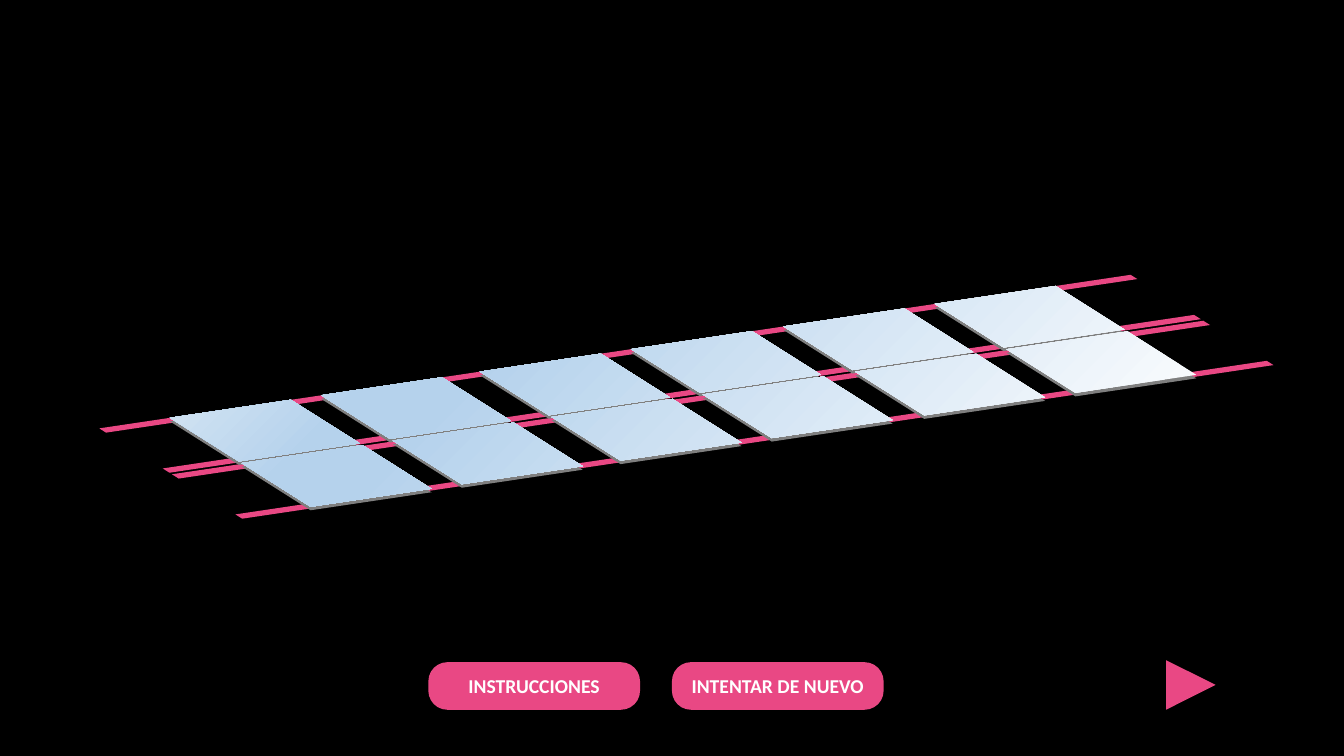
from lxml.etree import SubElement
from pptx import Presentation
from pptx.dml.color import RGBColor
from pptx.enum.shapes import MSO_SHAPE as Shape
from pptx.enum.text import MSO_ANCHOR as Anchor, PP_ALIGN as Align
from pptx.oxml.ns import qn
from pptx.util import Pt

PINK, GREY, WHITE, BLACK = "E94884", "7F7F7F", "FFFFFF", "000000"
SHEEN = [(11, "F7FAFD"), (69, "B5D2EC"), (76, "B5D2EC"), (89, "CEE1F2")]
SHEEN_ANGLE = 225

BUTTONS = [("INSTRUCCIONES", 306), ("INTENTAR DE NUEVO", 480)]
BUTTON_TOP, BUTTON_W, BUTTON_H = 473, 151.2, 34
ARROW = (833, 471.6, 35.3, 35.3)

# Flat plan of the track, in points, before it is tilted
COLS = [136, 256, 382, 502, 623, 743]
ROWS = [168, 284.5]
PANEL = (96, 112)
RAILS = [168, 271, 286, 389]
RAIL_LEFT, RAIL = 80, (818.5, 11)

# Where 100 points across and 100 points down the plan lead on the slide
ACROSS, DOWN = (90, -13.4), (44, 27.8)
ORIGIN = (-75, 270)
THICK = 2.5


def color(text):
    return RGBColor.from_string(text)


def paint(shape, fill):
    shape.shadow.inherit = False
    shape.fill.solid()
    shape.fill.fore_color.rgb = color(fill)
    shape.line.fill.background()


def tilt(x, y, drop):
    """Map a plan point to slide units."""
    left = ORIGIN[0] + (x * ACROSS[0] + y * DOWN[0]) / 100
    top = ORIGIN[1] + (x * ACROSS[1] + y * DOWN[1]) / 100 + drop
    return Pt(left), Pt(top)


def add_tiles(shapes, spots, size, fill, drop=0):
    """Draw equal tilted rectangles as one shape."""
    wide, deep = size
    outline = None
    for x, y in spots:
        first, *rest = [tilt(a, b, drop) for a, b in (
            (x, y), (x + wide, y), (x + wide, y + deep), (x, y + deep))]
        if outline is None:
            outline = shapes.build_freeform(*first)
        else:
            outline.move_to(*first)
        outline.add_line_segments(rest, close=True)
    tiles = outline.convert_to_shape()
    paint(tiles, fill)
    return tiles


def add_sheen(shape):
    """Replace the stops of a gradient fill with the sheen colours."""
    shape.fill.gradient()
    grad = shape.fill._xPr.find(qn("a:gradFill"))
    for child in list(grad):
        grad.remove(child)
    stops = SubElement(grad, qn("a:gsLst"))
    for share, tone in SHEEN:
        stop = SubElement(stops, qn("a:gs"), pos=str(share * 1000))
        SubElement(stop, qn("a:srgbClr"), val=tone)
    SubElement(grad, qn("a:lin"), ang=str(SHEEN_ANGLE * 60000), scaled="0")


def add_button(shapes, label, left):
    button = shapes.add_shape(Shape.ROUNDED_RECTANGLE, Pt(left),
                              Pt(BUTTON_TOP), Pt(BUTTON_W), Pt(BUTTON_H))
    button.adjustments[0] = 0.4
    paint(button, PINK)
    frame = button.text_frame
    frame.vertical_anchor = Anchor.MIDDLE
    para = frame.paragraphs[0]
    para.alignment = Align.CENTER
    run = para.add_run()
    run.text = label
    font = run.font
    font.name, font.size, font.bold = "Calibri", Pt(14), True
    font.color.rgb = color(WHITE)


def main():
    deck = Presentation()
    deck.slide_width, deck.slide_height = Pt(960), Pt(540)
    slide = deck.slides.add_slide(deck.slide_layouts[6])
    back = slide.background.fill
    back.solid()
    back.fore_color.rgb = color(BLACK)
    shapes = slide.shapes

    add_tiles(shapes, [(RAIL_LEFT, y) for y in RAILS], RAIL, PINK)
    spots = [(x, y) for y in ROWS for x in COLS]
    add_tiles(shapes, spots, PANEL, GREY, THICK)
    add_sheen(add_tiles(shapes, spots, PANEL, WHITE))

    for label, left in BUTTONS:
        add_button(shapes, label, left)
    arrow = shapes.add_shape(Shape.ISOSCELES_TRIANGLE, *map(Pt, ARROW))
    arrow.rotation = 90
    paint(arrow, PINK)
    deck.save("out.pptx")


if __name__ == "__main__":
    main()
